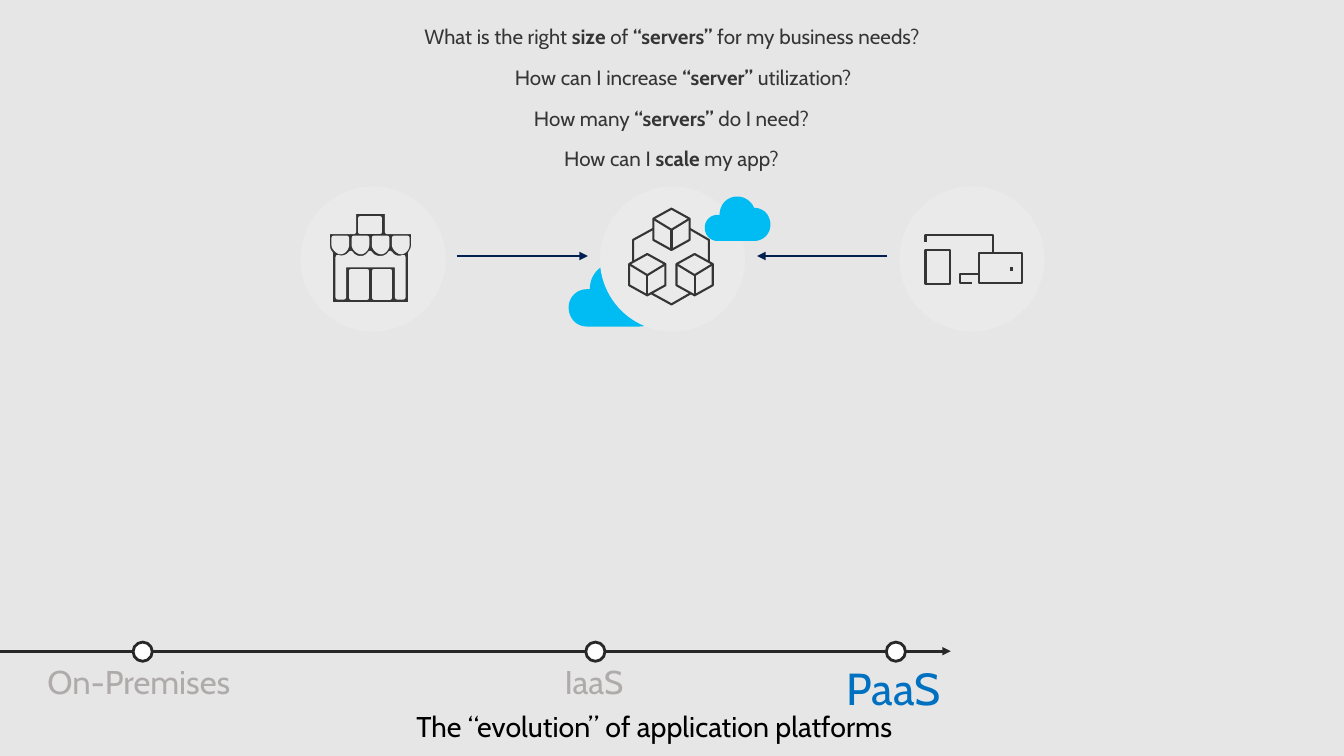
from lxml import etree
from pptx import Presentation
from pptx import util as u
from pptx.dml.color import RGBColor
from pptx.enum import shapes, text
from pptx.oxml.ns import qn

PX = 9144
FONT = "Cabin"
BACKDROP = RGBColor(0xE6, 0xE6, 0xE6)
DISC = RGBColor(0xEA, 0xEA, 0xEA)
INK = RGBColor(0x35, 0x35, 0x35)
AXIS = RGBColor(0x28, 0x28, 0x28)
NAVY = RGBColor(0x00, 0x20, 0x50)
SKY = RGBColor(0x00, 0xBC, 0xF2)
BLUE = RGBColor(0x00, 0x70, 0xC0)
GREY = RGBColor(0xAF, 0xAB, 0xAB)
WHITE = RGBColor(0xFF, 0xFF, 0xFF)
BLACK = RGBColor(0x00, 0x00, 0x00)


def paint(shape, fill=None, line=None, weight=1.5):
    shape.shadow.inherit = False
    if fill is None:
        shape.fill.background()
    else:
        shape.fill.solid()
        shape.fill.fore_color.rgb = fill
    if line is None:
        shape.line.fill.background()
    else:
        shape.line.color.rgb = line
        shape.line.width = u.Pt(weight)


def outline(parent, contours, closed=False):
    builder = None
    for contour in contours:
        points = [contour[0]]
        for step in contour[1:]:
            if len(step) == 2:
                points.append(step)
                continue
            start, first, second, end = points[-1], step[:2], step[2:4], step[4:]
            for part in range(1, 13):
                t = part / 12
                points.append(tuple(
                    (1 - t) ** 3 * a + 3 * t * (1 - t) ** 2 * b + 3 * t * t * (1 - t) * c + t ** 3 * d
                    for a, b, c, d in zip(start, first, second, end)))
        points = [(x * PX, y * PX) for x, y in points]
        if builder is None:
            builder = parent.build_freeform(*points[0], scale=1.0)
        else:
            builder.move_to(*points[0])
        builder.add_line_segments(points[1:], close=closed)
    return builder.convert_to_shape()


deck = Presentation()
deck.slide_width, deck.slide_height = 1333 * PX, 750 * PX
page = deck.slides.add_slide(deck.slide_layouts[5])
page.background.fill.solid()
page.background.fill.fore_color.rgb = BACKDROP

title = page.shapes.title
title.left, title.top, title.width, title.height = 403 * PX, 707 * PX, 519 * PX, 35 * PX
title.text_frame.text = "The “evolution” of application platforms"
title.text_frame.auto_size = text.MSO_AUTO_SIZE.NONE
title.text_frame.word_wrap = True
title.text_frame.vertical_anchor = text.MSO_ANCHOR.MIDDLE
para = title.text_frame.paragraphs[0]
para.alignment = text.PP_ALIGN.LEFT
para.line_spacing = 0.7
para.font.name, para.font.size, para.font.color.rgb = FONT, u.Pt(20.4), BLACK

for label, left, width, height, size, color in [
    ("PaaS", 820, 136, 81, 32, BLUE),
    ("IaaS", 540, 101, 68, 23.5, GREY),
    ("On-Premises", 27, 229, 68, 23.5, GREY),
]:
    box = page.shapes.add_textbox(left * PX, 645 * PX, width * PX, height * PX)
    frame = box.text_frame
    frame.word_wrap = False
    frame.auto_size = text.MSO_AUTO_SIZE.SHAPE_TO_FIT_TEXT
    frame.margin_left = frame.margin_right = 20 * PX
    frame.margin_top = frame.margin_bottom = 16 * PX
    frame.text = label
    para = frame.paragraphs[0]
    para.line_spacing = 0.9
    para.space_after = u.Pt(5.9)
    para.font.name, para.font.size, para.font.color.rgb = FONT, u.Pt(size), color

cloud = [(21, 26), (21, 11, 32, 0, 46, 0), (57, 0, 66, 7, 70, 16), (83, 16, 93, 26, 93, 40),
         (93, 53, 83, 63, 70, 63), (18, 63), (8, 63, 0, 55, 0, 44), (0, 34, 8, 26, 18, 26)]
clouds = []
for left, top, ratio in [(564, 261, 1), (699, 195, 0.7)]:
    clouds.append([tuple((left, top)[i % 2] + value * ratio for i, value in enumerate(step))
                   for step in cloud])
paint(outline(page.shapes, clouds[:1], True), SKY)

groups = []
for left in (595, 298, 892):
    group = page.shapes.add_group_shape().shapes
    paint(group.add_shape(shapes.MSO_SHAPE.OVAL, left * PX, 185 * PX, 144 * PX, 144 * PX), DISC)
    groups.append(group)
cubes, store, devices = groups

links = [
    (page.shapes, -1, 646, 648, 646, AXIS, 2, False),
    (page.shapes, -1, 646, 943, 646, AXIS, 2, True),
    (page.shapes, 453, 254, 583, 254, NAVY, 2, True),
    (page.shapes, 880, 254, 751, 254, NAVY, 2, True),
    (devices, 1003, 269, 1003, 265, INK, 2, False),
]

strokes = [
    (cubes, [(646, 291), (666, 302), (685, 291)]),
    (cubes, [(684, 227), (703, 238), (703, 260)]),
    (cubes, [(628, 260), (628, 238), (648, 227)]),
    (devices, [(971, 272), (952, 272), (952, 281), (964, 281)]),
    (devices, [(918, 240), (918, 233), (985, 233), (985, 251)]),
]
for x, y in [(671, 252), (624, 252), (648, 207)]:
    sides = [(0, 10), (18, 0), (36, 10), (36, 31), (18, 41), (0, 31), (0, 10)]
    fold = [(36, 10), (18, 21), (0, 10)]
    strokes += [(cubes, [(x + dx, y + dy) for dx, dy in line]) for line in (sides, fold)]
    links.append((cubes, x + 18, y + 21, x + 18, y + 41, INK, 1.5, False))
for parent, points in strokes:
    paint(outline(parent, [points]), line=INK)

for left, top, width, height in [(918, 248, 24, 34), (971, 251, 43, 30)]:
    screen = devices.add_shape(shapes.MSO_SHAPE.RECTANGLE, left * PX, top * PX, width * PX, height * PX)
    paint(screen, line=INK)

shopfront = [
    [(328, 302), (407, 302), (407, 251), (408, 250, 410, 246, 410, 243), (410, 230), (384, 230),
     (384, 210), (351, 210), (351, 230), (325, 230), (325, 243), (325, 246, 326, 250, 328, 251)],
    [(394, 295), (394, 263), (341, 263), (341, 295), (335, 295), (335, 255),
     (339, 257, 345, 255, 348, 251), (352, 258, 363, 258, 367, 251), (371, 258, 383, 258, 387, 251),
     (390, 256, 396, 257, 400, 255), (400, 295)],
]
for left, top, right, bottom in [(348, 269, 364, 295), (371, 269, 387, 295), (357, 217, 377, 230)]:
    shopfront.append([(left, top), (right, top), (right, bottom), (left, bottom)])
for left in range(331, 392, 20):
    shopfront.append([(left, 236), (left + 13, 236), (left + 13, 243),
                      (left + 13, 246, left + 10, 250, left + 7, 250),
                      (left + 4, 250, left, 246, left, 243)])
paint(outline(store, shopfront, True), INK, DISC, 3.25)

for parent, x1, y1, x2, y2, color, weight, arrow in links:
    link = parent.add_connector(shapes.MSO_CONNECTOR.STRAIGHT, x1 * PX, y1 * PX, x2 * PX, y2 * PX)
    link.line.color.rgb = color
    link.line.width = u.Pt(weight)
    properties = link._element.spPr
    if arrow:
        etree.SubElement(properties.find(qn("a:ln")), qn("a:tailEnd"), type="triangle")
    etree.SubElement(properties, qn("a:effectLst"))

for left in (132, 581, 879):
    milestone = page.shapes.add_shape(shapes.MSO_SHAPE.OVAL, left * PX, 637 * PX, 19 * PX, 19 * PX)
    paint(milestone, WHITE, AXIS, 2)

paint(outline(page.shapes, clouds[1:], True), SKY)

for question, left, top, width in [
    ("What is the right *size* of *“servers”* for my business needs?", 361, 19, 611),
    ("How can I increase* “server”* utilization?", 458, 59, 439),
    ("How many *“servers” *do I need?", 459, 100, 414),
    ("How can I *scale* my app?", 543, 140, 246),
]:
    box = page.shapes.add_textbox(left * PX, top * PX, width * PX, 35 * PX)
    box.text_frame.word_wrap = True
    box.text_frame.auto_size = text.MSO_AUTO_SIZE.SHAPE_TO_FIT_TEXT
    para = box.text_frame.paragraphs[0]
    para.alignment = text.PP_ALIGN.CENTER
    para.font.name, para.font.size, para.font.color.rgb = FONT, u.Pt(14.7), INK
    for index, words in enumerate(question.split("*")):
        span = para.add_run()
        span.text = words
        if index % 2:
            span.font.bold = True

deck.save("out.pptx")
